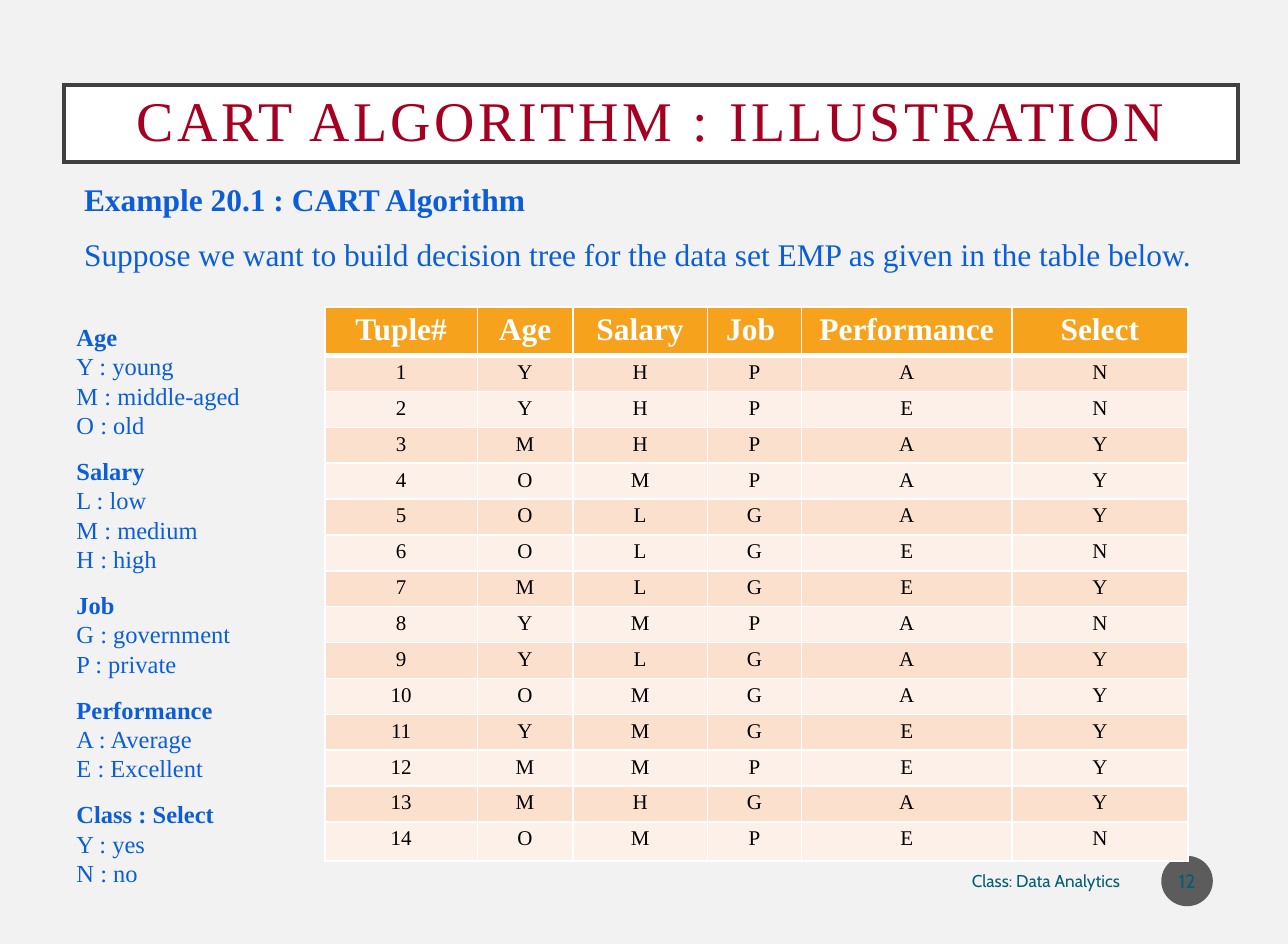
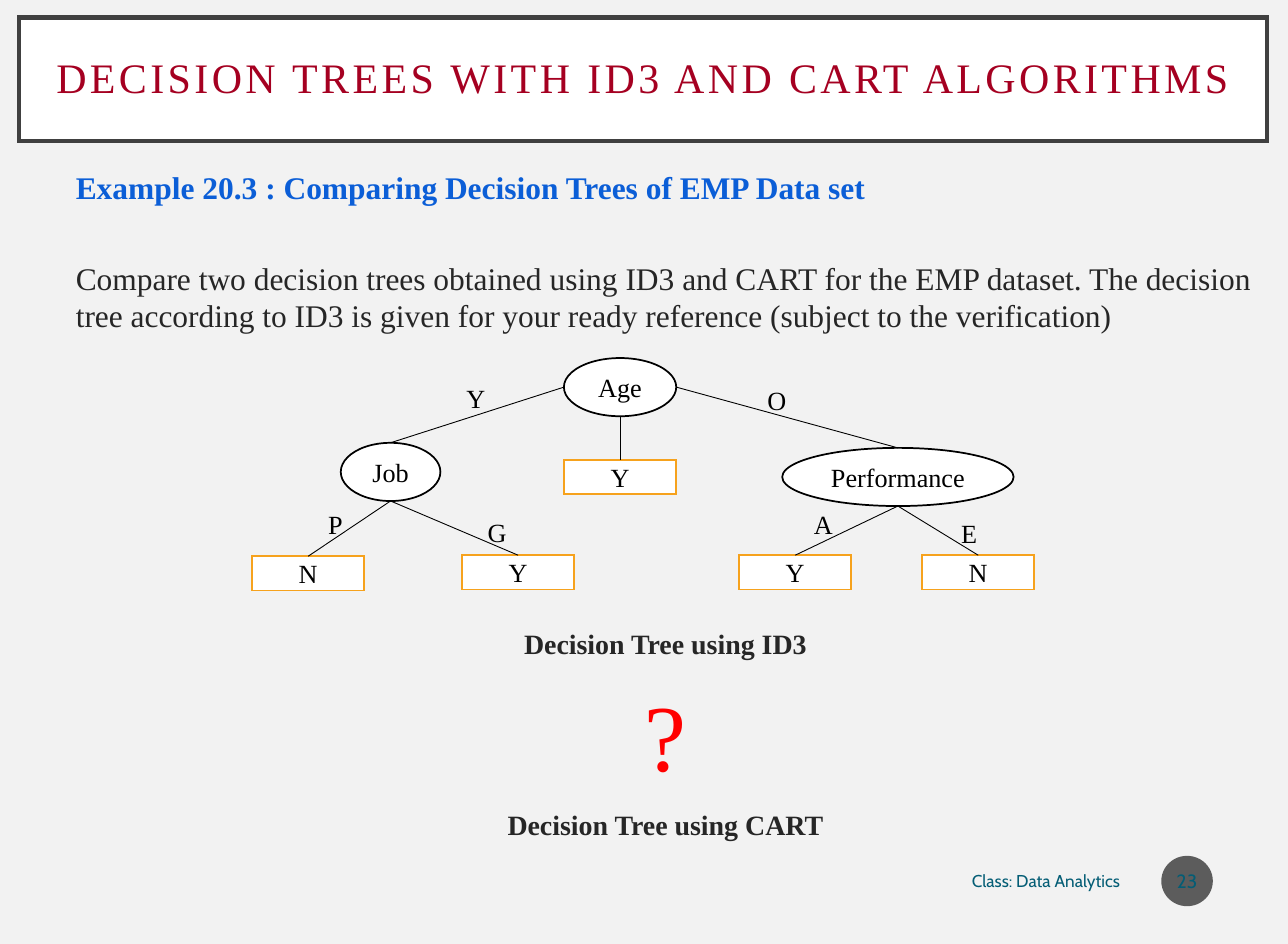
"""Build two slides on the CART algorithm: a data set and a comparison of trees."""
from dataclasses import dataclass
from typing import NamedTuple

from lxml.etree import SubElement
from pptx import Presentation
from pptx.dml.color import RGBColor
from pptx.enum.shapes import MSO_CONNECTOR, MSO_SHAPE
from pptx.enum.text import MSO_ANCHOR, PP_ALIGN
from pptx.oxml.ns import qn
from pptx.util import Pt

SERIF, SANS = "Times New Roman", "Cabin"
PAPER, WHITE, BLACK, FRAME = "F2F2F2", "FFFFFF", "000000", "404040"
CRIMSON, BLUE, INK, TEAL, RED = "A50021", "0B5ED7", "262626", "045D75", "FF0000"
ORANGE, BANDS, BADGE = "F6A21D", ("FBE0CD", "FDF0E8"), "1D1D1D"
FOOTER = "Class: Data Analytics"


class Box(NamedTuple):
    """A frame in points."""
    left: float
    top: float
    width: float
    height: float

    def lengths(self) -> list:
        return [Pt(value) for value in self]


@dataclass
class Line:
    """One paragraph with its look."""
    text: str
    size: float = 18
    color: str = BLUE
    bold: bool = False
    align: PP_ALIGN = PP_ALIGN.LEFT
    before: float = 0
    spacing: float = 1.0
    font: str = SERIF


@dataclass
class Node:
    """A test or a leaf of the decision tree."""
    text: str
    box: Box
    is_leaf: bool = False

    def point(self, side: str) -> tuple:
        left, top, width, height = self.box
        return {"left": (left, top + height / 2),
                "bottom": (left + width / 2, top + height),
                "right": (left + width, top + height / 2)}[side]


class Branch(NamedTuple):
    """A line from a side of one node to the top of another."""
    parent: str
    side: str
    child: str


class Label(NamedTuple):
    """The value written beside a branch."""
    text: str
    left: float
    top: float


def rgb(color: str) -> RGBColor:
    return RGBColor.from_string(color)


def write(frame, lines: list) -> None:
    for index, line in enumerate(lines):
        paragraph = frame.paragraphs[0] if index == 0 else frame.add_paragraph()
        paragraph.text = line.text
        paragraph.alignment = line.align
        paragraph.line_spacing = line.spacing
        paragraph.space_before = Pt(line.before)
        font = paragraph.font
        font.name, font.size, font.bold = line.font, Pt(line.size), line.bold
        font.color.rgb = rgb(line.color)


def set_margins(frame, margin: float) -> None:
    frame.margin_left = frame.margin_right = Pt(margin)
    frame.margin_top = frame.margin_bottom = Pt(margin)


def add_text(slide, box: Box, lines: list, wrap: bool = True,
             anchor: MSO_ANCHOR = MSO_ANCHOR.TOP) -> None:
    frame = slide.shapes.add_textbox(*box.lengths()).text_frame
    frame.word_wrap = wrap
    frame.vertical_anchor = anchor
    write(frame, lines)


def add_panel(slide, kind: MSO_SHAPE, box: Box, fill: str, outline: str | None,
              weight: float, line: Line, margin: float = 0):
    panel = slide.shapes.add_shape(kind, *box.lengths())
    panel.shadow.inherit = False
    panel.fill.solid()
    panel.fill.fore_color.rgb = rgb(fill)
    if outline:
        panel.line.color.rgb = rgb(outline)
        panel.line.width = Pt(weight)
        SubElement(panel.line._get_or_add_ln(), qn("a:miter"), lim="800000")
    else:
        panel.line.fill.background()
    panel.text_frame.vertical_anchor = MSO_ANCHOR.MIDDLE
    set_margins(panel.text_frame, margin)
    write(panel.text_frame, [line])
    return panel


def start_slide(deck, title: str, title_box: Box, title_size: float, number: int):
    slide = deck.slides.add_slide(deck.slide_layouts[6])
    slide.background.fill.solid()
    slide.background.fill.fore_color.rgb = rgb(PAPER)
    heading = add_panel(slide, MSO_SHAPE.RECTANGLE, title_box, WHITE, FRAME, 2.5,
                        Line(title, title_size, CRIMSON, align=PP_ALIGN.CENTER, spacing=0.9), 14.4)
    for run in heading.text_frame.paragraphs[0].runs:
        run.font._element.set("spc", "195")
    add_text(slide, Box(481.7, 491, 166.3, 25.2),
             [Line(FOOTER, 9.8, TEAL, align=PP_ALIGN.RIGHT, font=SANS)],
             anchor=MSO_ANCHOR.MIDDLE)
    badge = add_panel(slide, MSO_SHAPE.OVAL, Box(664.5, 489.6, 29.5, 28.8), BADGE, None, 0,
                      Line(str(number), 11, TEAL, align=PP_ALIGN.CENTER, font=SANS))
    tint = badge.fill._xPr.find(qn("a:solidFill"))[0]
    SubElement(tint, qn("a:alpha")).set("val", "70000")
    return slide


HEADER = ("Tuple#", "Age", "Salary", "Job ", "Performance", "Select")
EMPLOYEES = ("YHPAN", "YHPEN", "MHPAY", "OMPAY", "OLGAY", "OLGEN", "MLGEY",
             "YMPAN", "YLGAY", "OMGAY", "YMGEY", "MMPEY", "MHGAY", "OMPEN")
COLUMN_WIDTHS = (87.1, 54.7, 77, 54, 120.2, 100.8)
HEADER_HEIGHT, ROW_HEIGHT, LAST_HEIGHT = 27.7, 20.55, 22.3

LEGEND = {
    "Age": ("Y : young", "M : middle-aged", "O : old"),
    "Salary": ("L : low", "M : medium", "H : high"),
    "Job": ("G : government", "P : private"),
    "Performance": ("A : Average", "E : Excellent"),
    "Class : Select": ("Y : yes", "N : no"),
}


def add_border(cell, side: str, weight: float) -> None:
    edge = SubElement(cell._tc.get_or_add_tcPr(), qn(f"a:{side}"), w=str(Pt(weight)))
    SubElement(SubElement(edge, qn("a:solidFill")), qn("a:srgbClr"), val=WHITE)


def add_employee_table(slide) -> None:
    rows = [HEADER] + [(str(n), *codes) for n, codes in enumerate(EMPLOYEES, 1)]
    heights = [HEADER_HEIGHT] + [ROW_HEIGHT] * (len(EMPLOYEES) - 1) + [LAST_HEIGHT]
    box = Box(186, 175.7, sum(COLUMN_WIDTHS), sum(heights))
    table = slide.shapes.add_table(len(rows), len(HEADER), *box.lengths()).table
    table.horz_banding = False
    for column, width in zip(table.columns, COLUMN_WIDTHS):
        column.width = Pt(width)
    for index, (values, height) in enumerate(zip(rows, heights)):
        table.rows[index].height = Pt(height)
        is_header = index == 0
        fill = ORANGE if is_header else BANDS[(index - 1) % 2]
        for column, value in enumerate(values):
            cell = table.cell(index, column)
            cell.margin_top = cell.margin_bottom = Pt(3)
            for side in ("lnL", "lnR", "lnT", "lnB"):
                touches_header = (is_header and side == "lnB") or (index == 1 and side == "lnT")
                add_border(cell, side, 3 if touches_header else 1)
            cell.fill.solid()
            cell.fill.fore_color.rgb = rgb(fill)
            write(cell.text_frame, [Line(value, 18 if is_header else 12,
                                         WHITE if is_header else BLACK, is_header,
                                         PP_ALIGN.CENTER)])


def build_data_slide(deck) -> None:
    slide = start_slide(deck, "CART ALGORITHM : ILLUSTRATION", Box(36.7, 48.7, 671.8, 43.9), 32, 12)
    add_text(slide, Box(41, 99.6, 663.1, 81.4), [
        Line("Example 20.1 : CART Algorithm", bold=True, align=PP_ALIGN.JUSTIFY),
        Line("Suppose we want to build decision tree for the data set EMP as given in the table below.",
             align=PP_ALIGN.JUSTIFY, before=9.8)])
    add_employee_table(slide)
    legend = []
    for attribute, meanings in LEGEND.items():
        legend.append(Line(attribute, 14, bold=True, before=9.4 if legend else 0))
        legend += [Line(meaning, 14) for meaning in meanings]
    add_text(slide, Box(36.7, 180.7, 117.4, 358.6), legend)


def leaf(text: str, left: float, top: float) -> Node:
    return Node(text, Box(left, top, 64.3, 19.6), True)


def test(text: str, left: float, top: float, width: float) -> Node:
    return Node(text, Box(left, top, width, 33.3))


NODES = {
    "age": test("Age", 322.7, 204.8, 64.3),
    "job": test("Job", 195, 253.3, 57),
    "performance": test("Performance", 447.6, 256.2, 132.4),
    "age M": leaf("Y", 322.7, 263),
    "job P": leaf("N", 144.2, 318.2),
    "job G": leaf("Y", 264.3, 317.6),
    "performance A": leaf("Y", 422.9, 317.6),
    "performance E": leaf("N", 527.6, 317.6),
}
BRANCHES = (
    Branch("age", "left", "job"),
    Branch("age", "bottom", "age M"),
    Branch("age", "right", "performance"),
    Branch("job", "bottom", "job P"),
    Branch("job", "bottom", "job G"),
    Branch("performance", "bottom", "performance A"),
    Branch("performance", "bottom", "performance E"),
)
LABELS = (Label("Y", 259.8, 215.3), Label("O", 432, 216), Label("P", 180.7, 287.3),
          Label("G", 272, 291.6), Label("A", 458.6, 287.3), Label("E", 542.9, 292.3))


def add_tree(slide) -> None:
    drawn = {}
    for key, node in NODES.items():
        kind = MSO_SHAPE.RECTANGLE if node.is_leaf else MSO_SHAPE.FLOWCHART_CONNECTOR
        drawn[key] = add_panel(slide, kind, node.box, WHITE, ORANGE if node.is_leaf else BLACK, 1,
                               Line(node.text, 15, BLACK, align=PP_ALIGN.CENTER))
        drawn[key].text_frame.word_wrap = False
    for branch in BRANCHES:
        start = [Pt(value) for value in NODES[branch.parent].point(branch.side)]
        edge = slide.shapes.add_connector(MSO_CONNECTOR.STRAIGHT, *start, *start)
        edge.end_connect(drawn[branch.child], 0)
        edge.line.color.rgb = rgb(BLACK)
        edge.line.width = Pt(0.5)
        SubElement(edge._element.spPr, qn("a:effectLst"))
    for label in LABELS:
        add_text(slide, Box(label.left, label.top, 25.5, 25.2),
                 [Line(label.text, 15, BLACK)], wrap=False)


def build_comparison_slide(deck) -> None:
    slide = start_slide(deck, "DECISION TREES WITH ID3 AND CART ALGORITHMS",
                        Box(10.8, 10.1, 714.2, 70.6), 24, 23)
    add_text(slide, Box(36.3, 92.4, 689, 105), [
        Line("Example 20.3 : Comparing Decision Trees of EMP Data set", bold=True),
        Line("Compare two decision trees obtained using ID3 and CART for the EMP dataset. "
             "The decision tree according to ID3 is given for your ready reference "
             "(subject to the verification)", color=INK, before=30.4)])
    add_text(slide, Box(36.3, 355, 689, 131), [
        Line("Decision Tree using ID3", 16, INK, True, PP_ALIGN.CENTER),
        Line("?", 54, RED, align=PP_ALIGN.CENTER, before=9.8),
        Line("Decision Tree using CART", 16, INK, True, PP_ALIGN.CENTER, 9.8)])
    add_tree(slide)


def main() -> None:
    deck = Presentation()
    deck.slide_width, deck.slide_height = Pt(737), Pt(540)
    build_data_slide(deck)
    build_comparison_slide(deck)
    deck.save("out.pptx")


if __name__ == "__main__":
    main()
